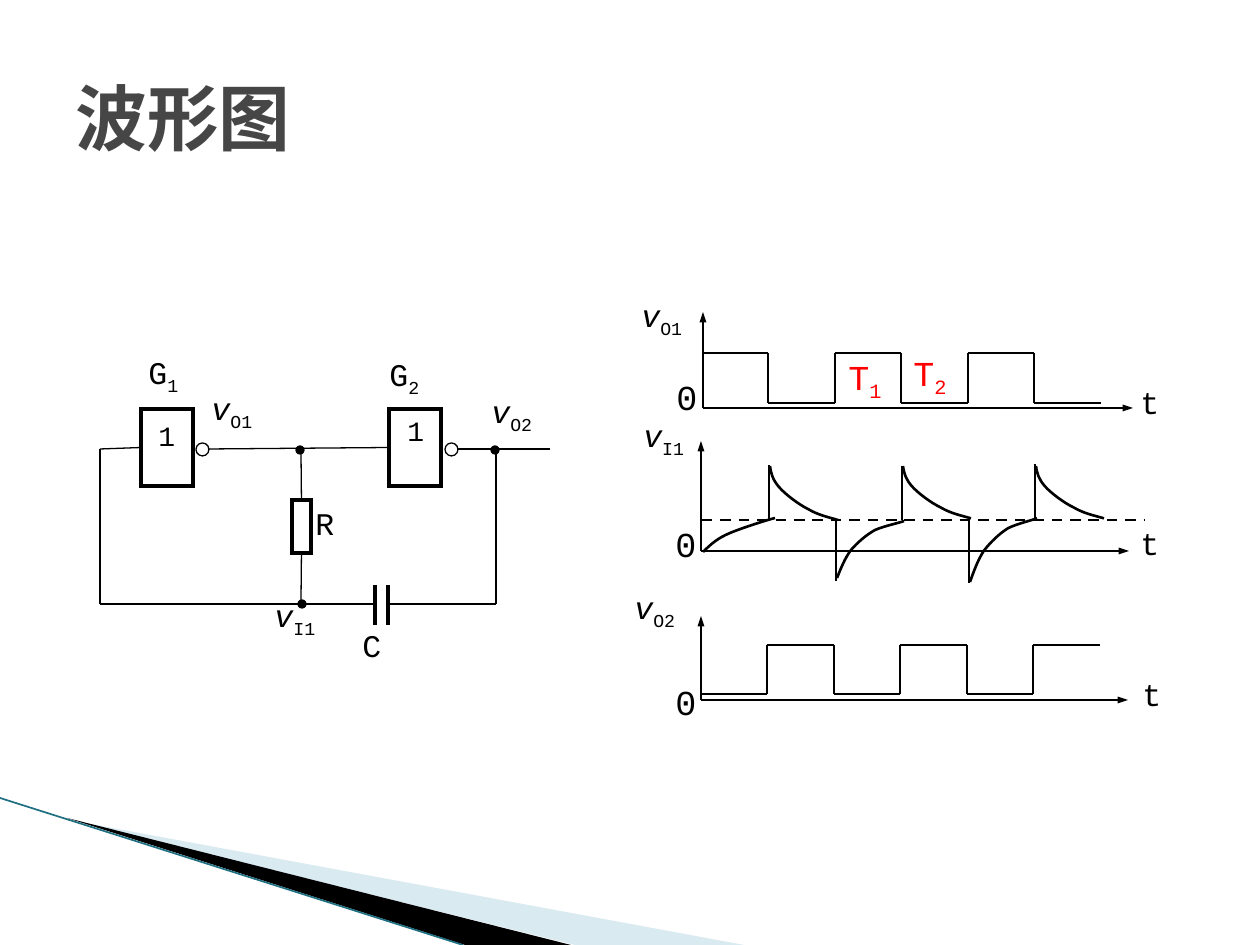
from lxml.etree import SubElement
from pptx import Presentation
from pptx.dml.color import RGBColor
from pptx.enum.dml import MSO_LINE
from pptx.enum.shapes import MSO_CONNECTOR, MSO_SHAPE
from pptx.enum.text import MSO_ANCHOR, PP_ALIGN
from pptx.oxml.ns import qn
from pptx.util import Pt

PX = 914400 / 126
FONT = "Courier New"
COLORS = {
    "ink": "000000",
    "title": "464646",
    "period": "FF0000",
    "paper": "FFFFFF",
    "swoosh": "A0CBDC",
    "edge": "1F6F82",
}
COLORS = {name: RGBColor.from_string(value) for name, value in COLORS.items()}

presentation = Presentation()
presentation.slide_width = round(1260 * PX)
presentation.slide_height = round(945 * PX)
slide = presentation.slides.add_slide(presentation.slide_layouts[6])
shapes = slide.shapes


def add_line(x1, y1, x2, y2, width=1.5, color="ink", arrow=False):
    ends = [round(value * PX) for value in (x1, y1, x2, y2)]
    line = shapes.add_connector(MSO_CONNECTOR.STRAIGHT, *ends)
    line.line.width = Pt(width)
    line.line.color.rgb = COLORS[color]
    if arrow:
        outline = line._element.spPr.find(qn("a:ln"))
        SubElement(outline, qn("a:tailEnd"), type="triangle", w="sm", len="med")
    SubElement(line._element.spPr, qn("a:effectLst"))
    return line


def add_label(x, y, width, height, text, subscript="", size=18, color="ink"):
    """Add a one-line label; the quantity v is set in italics."""
    box = shapes.add_textbox(*[round(value * PX) for value in (x, y, width, height)])
    box.text_frame.word_wrap = True
    paragraph = box.text_frame.paragraphs[0]
    paragraph.alignment = PP_ALIGN.JUSTIFY
    paragraph.font.name = FONT
    paragraph.font.size = Pt(size)
    paragraph.font.color.rgb = COLORS[color]
    run = paragraph.add_run()
    run.text = text
    if text == "v":
        run.font.italic = True
    if subscript:
        run = paragraph.add_run()
        run.text = subscript
        run._r.get_or_add_rPr().set("baseline", "-25000")
    return box


# Corner decoration
for corners, color, alpha in [
    ([(69, 820), (744, 945), (575, 945)], "swoosh", 40),
    ([(67, 818), (571, 945), (465, 945)], "ink", 100),
]:
    points = [(x * PX, y * PX) for x, y in corners]
    builder = shapes.build_freeform(*points[0], scale=1.0)
    builder.add_line_segments(points[1:], close=True)
    swoosh = builder.convert_to_shape()
    swoosh.shadow.inherit = False
    swoosh.fill.solid()
    swoosh.fill.fore_color.rgb = COLORS[color]
    swoosh.line.fill.background()
    if alpha < 100:
        fill_color = swoosh._element.spPr.find(qn("a:solidFill"))[0]
        SubElement(fill_color, qn("a:alpha"), val=str(alpha * 1000))
add_line(0, 798, 463, 945, 0.95, "edge")

# Title
title = add_label(63, 38, 1134, 158, "波形图", size=41, color="title")
title.text_frame.vertical_anchor = MSO_ANCHOR.MIDDLE
title.text_frame.paragraphs[0].alignment = PP_ALIGN.LEFT
title.text_frame.paragraphs[0].font.bold = True

# Circuit parts: gates, inverting bubbles, resistor, junction dots
parts = {}
for name, kind, x, y, width, height, fill, weight in [
    ("gate 1", MSO_SHAPE.RECTANGLE, 141, 409, 52, 77, None, 2.5),
    ("gate 2", MSO_SHAPE.RECTANGLE, 389, 409, 52, 77, None, 2.5),
    ("resistor", MSO_SHAPE.RECTANGLE, 292, 500, 19, 53, None, 2.5),
    ("bubble 1", MSO_SHAPE.OVAL, 196, 443, 13, 13, "paper", 0.75),
    ("bubble 2", MSO_SHAPE.OVAL, 445, 443, 13, 13, "paper", 0.75),
    ("dot O1", MSO_SHAPE.OVAL, 296, 446, 8, 8, "ink", 0.75),
    ("dot O2", MSO_SHAPE.OVAL, 491, 446, 8, 8, "ink", 0.75),
    ("dot I1", MSO_SHAPE.OVAL, 298, 600, 8, 8, "ink", 0.75),
]:
    part = shapes.add_shape(kind, *[round(value * PX) for value in (x, y, width, height)])
    part.shadow.inherit = False
    part.line.color.rgb = COLORS["ink"]
    part.line.width = Pt(weight)
    if fill:
        part.fill.solid()
        part.fill.fore_color.rgb = COLORS[fill]
    else:
        part.fill.background()
        SubElement(part._element.spPr.find(qn("a:ln")), qn("a:miter"), lim="800000")
    parts[name] = part

# Wires, joined to a side of a part where they end on one
for ends, part_name, side in [
    ((100, 449, 141, 449), "gate 1", 1),
    ((208, 449, 389, 449), "gate 2", 1),
    ((301, 449, 301, 500), "resistor", 0),
    ((301, 604, 301, 553), "resistor", 2),
    ((458, 449, 550, 449), None, None),
    ((100, 449, 100, 604), None, None),
    ((100, 604, 375, 604), None, None),
    ((388, 604, 496, 604), None, None),
    ((496, 449, 496, 604), None, None),
]:
    wire = add_line(*ends, width=0.75)
    if part_name:
        wire.end_connect(parts[part_name], side)
for x in (375, 388):
    add_line(x, 585, x, 625, width=2.5)

for x, y, text, subscript, size in [
    (136, 347, "G", "1", 18),
    (377, 349, "G", "2", 18),
    (146, 412, "1", "", 16),
    (395, 407, "1", "", 16),
    (303, 498, "R", "", 18),
    (350, 620, "C", "", 18),
    (199, 383, "v", "O1", 18),
    (479, 386, "v", "O2", 18),
    (262, 590, "v", "I1", 18),
]:
    add_label(x, y, 93, 66, text, subscript, size)

# Axes and their labels
for origin_x, origin_y, end_x, top_y, name, name_at, zero_at, time_at in [
    (703, 408, 1133, 312, "O1", (629, 290), (664, 369), (1128, 377)),
    (701, 551, 1129, 441, "I1", (631, 410), (663, 516), (1128, 518)),
    (701, 700, 1128, 616, "O2", (622, 582), (663, 674), (1130, 669)),
]:
    add_line(origin_x, origin_y, end_x, origin_y, arrow=True)
    add_line(origin_x, origin_y, origin_x, top_y, arrow=True)
    add_label(*name_at, 102, 69, "v", name)
    add_label(*zero_at, 50, 51, "0", size=20)
    add_label(*time_at, 50, 51, "t")

# Square waves: six half periods of 66.5 px, alternating between two levels
for start, levels in [(702, (353, 403)), (701, (694, 645))]:
    edges = [start + 133 * i // 2 for i in range(7)]
    for i in range(6):
        level = levels[i % 2]
        add_line(edges[i], level, edges[i + 1], level)
        if i:
            add_line(edges[i], levels[0], edges[i], levels[1])
add_label(836, 349, 74, 58, "T", "1", 20, "period")
add_label(901, 345, 66, 62, "T", "2", 20, "period")

# Capacitor voltage: threshold, jumps at each edge, then exponential curves
threshold = add_line(702, 520, 1144, 520)
threshold.line.dash_style = MSO_LINE.DASH
RISE = [(8, -8), (15, -14), (27, -19), (39, -24), (64, -32), (72, -34)]
DISCHARGE = [(1, 8), (3, 14), (9, 21), (15, 28), (28, 38), (38, 43), (48, 49), (58, 51), (68, 54)]
CHARGE = [(4, -10), (8, -20), (14, -28), (20, -35), (29, -43), (38, -48), (47, -52), (62, -55), (67, -57)]
for i, (peak, curve_top, controls, stretch) in enumerate([
    (None, 552, RISE, 1),
    (465, 466, DISCHARGE, 1),
    (581, 578, CHARGE, 1),
    (466, 466, DISCHARGE, 0.97),
    (583, 582, CHARGE, 1.12),
    (464, 466, DISCHARGE, 0.97),
]):
    x = 703 + 133 * i // 2
    if peak:
        add_line(x, 520, x, peak)
        x += 1
    builder = shapes.build_freeform(x * PX, curve_top * PX, scale=1.0)
    builder.add_line_segments(
        [((x + dx) * PX, (curve_top + dy * stretch) * PX) for dx, dy in controls], close=False
    )
    curve = builder.convert_to_shape()
    curve.shadow.inherit = False
    curve.fill.background()
    curve.line.color.rgb = COLORS["ink"]
    curve.line.width = Pt(1.5)
    # Every three points become the control points of one Bézier segment
    outline = next(curve._element.iter(qn("a:path")))
    segments = outline.findall(qn("a:lnTo"))
    for first in range(0, len(segments), 3):
        bezier = SubElement(outline, qn("a:cubicBezTo"))
        for segment in segments[first:first + 3]:
            bezier.append(segment[0])
            outline.remove(segment)

presentation.save("out.pptx")
